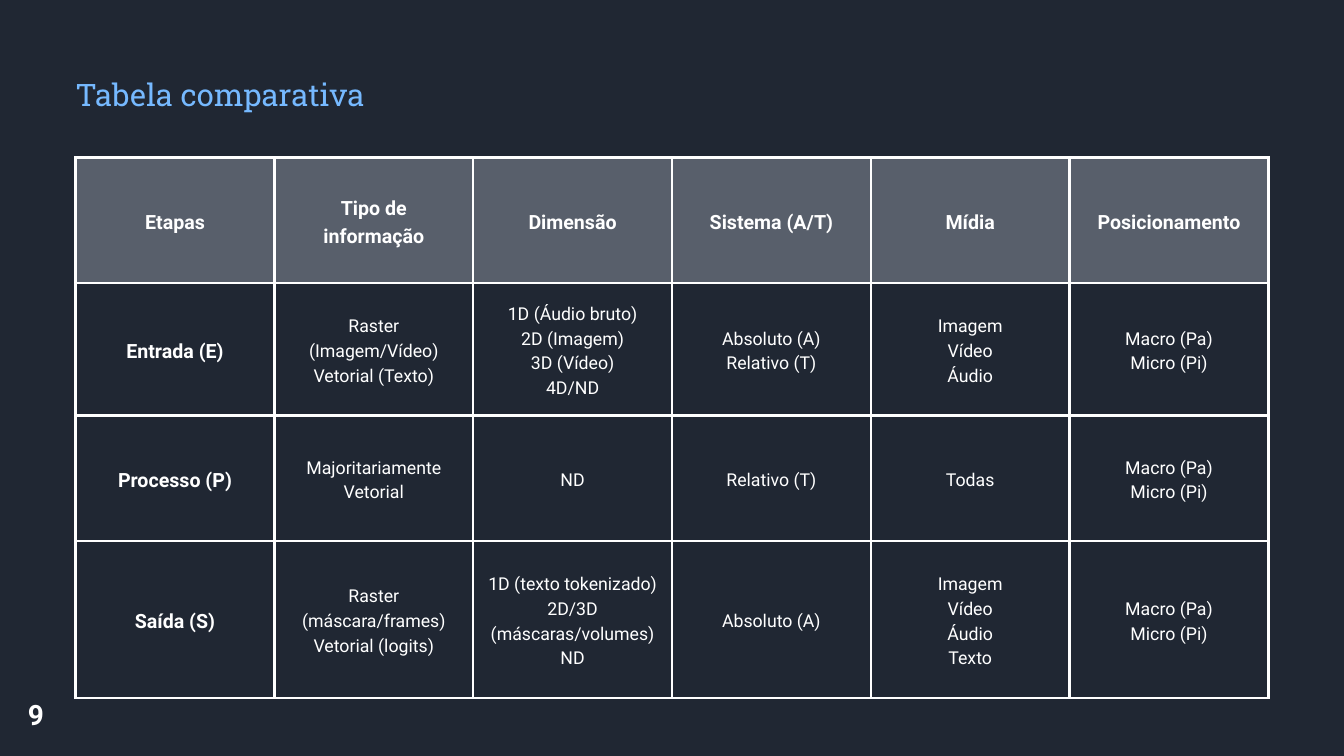
from lxml.etree import SubElement
from pptx import Presentation
from pptx.dml.color import RGBColor
from pptx.enum.text import MSO_ANCHOR as Anchor, MSO_AUTO_SIZE as AutoSize, PP_ALIGN as Align
from pptx.oxml.ns import qn
from pptx.util import Pt

INK = RGBColor(0x17, 0x1B, 0x21)
NAVY = RGBColor(0x20, 0x27, 0x33)
GREY = RGBColor(0x58, 0x5F, 0x6B)
BLUE = RGBColor(0x76, 0xB9, 0xFF)
WHITE = RGBColor(0xFF, 0xFF, 0xFF)

TITLE = "Tabela comparativa"
PAGE_NUMBER = "9"
HEADERS = ["Etapas", "Tipo de informação", "Dimensão", "Sistema (A/T)", "Mídia", "Posicionamento"]
POSITIONS = ["Macro (Pa)", "Micro (Pi)"]
STAGES = [
    ("Entrada (E)", [
        ["Raster (Imagem/Vídeo)", "Vetorial (Texto)"],
        ["1D (Áudio bruto)", "2D (Imagem)", "3D (Vídeo)", "4D/ND"],
        ["Absoluto (A)", "Relativo (T)"],
        ["Imagem", "Vídeo", "Áudio"],
        POSITIONS,
    ]),
    ("Processo (P)", [
        ["Majoritariamente Vetorial"], ["ND"], ["Relativo (T)"], ["Todas"], POSITIONS,
    ]),
    ("Saída (S)", [
        ["Raster (máscara/frames)", "Vetorial (logits)"],
        ["1D (texto tokenizado)", "2D/3D (máscaras/volumes)", "ND"],
        ["Absoluto (A)"],
        ["Imagem", "Vídeo", "Áudio", "Texto"],
        POSITIONS,
    ]),
]

SLIDE_WIDTH, SLIDE_HEIGHT = 1440, 810
LEFT, TABLE_TOP, COLUMN_WIDTH = 81, 168.9, 213
ROW_HEIGHTS = [134.6, 141.8, 134.6, 168]
CELL_MARGIN, BORDER = 15, 3

TITLE_FONT = dict(name="Roboto Slab", size=Pt(33.1), bold=False)
LABEL_FONT = dict(name="Roboto", size=Pt(21), bold=True)
DETAIL_FONT = dict(name="Roboto", size=Pt(19), bold=False)
NUMBER_FONT = dict(name="Roboto", size=Pt(30), bold=True)


def apply(target, values):
    for name, value in values.items():
        setattr(target, name, value)


def write(frame, lines, font, color, spacing, align):
    for index, line in enumerate(lines):
        para = frame.paragraphs[0] if index == 0 else frame.add_paragraph()
        apply(para, dict(alignment=align, line_spacing=Pt(spacing), space_before=Pt(0)))
        span = para.add_run()
        span.text = line
        apply(span.font, font)
        span.font.color.rgb = color


def format_frame(frame, wrap):
    apply(frame, dict(margin_left=0, margin_right=0, margin_top=0, margin_bottom=0,
                      word_wrap=wrap, auto_size=AutoSize.NONE, vertical_anchor=Anchor.TOP))


def add_backdrop(slide, color):
    builder = slide.shapes.build_freeform(0, 0, scale=Pt(1))
    builder.add_line_segments(
        [(SLIDE_WIDTH, 0), (SLIDE_WIDTH, SLIDE_HEIGHT), (0, SLIDE_HEIGHT)], close=True)
    backdrop = builder.convert_to_shape()
    backdrop.shadow.inherit = False
    backdrop.fill.solid()
    backdrop.fill.fore_color.rgb = color
    backdrop.line.fill.background()


def add_borders(cell):
    """Draw all four borders; they must precede the cell's fill in the XML."""
    properties = cell._tc.get_or_add_tcPr()
    for side in ("a:lnL", "a:lnR", "a:lnT", "a:lnB"):
        line = SubElement(properties, qn(side), w=str(Pt(BORDER)))
        fill = SubElement(line, qn("a:solidFill"))
        SubElement(fill, qn("a:srgbClr"), val=str(WHITE))


def fill_cell(cell, lines, is_header, is_label):
    add_borders(cell)
    if is_header:
        cell.fill.solid()
        cell.fill.fore_color.rgb = GREY
    else:
        cell.fill.background()
    margin = Pt(CELL_MARGIN)
    apply(cell, dict(margin_left=margin, margin_right=margin, margin_top=margin,
                     margin_bottom=margin, vertical_anchor=Anchor.MIDDLE))
    font, spacing = (LABEL_FONT, 29.4) if is_label else (DETAIL_FONT, 26.6)
    write(cell.text_frame, lines, font, WHITE, spacing, Align.CENTER)


def add_comparison(slide):
    rows = [[[header] for header in HEADERS]]
    rows += [[[stage], *details] for stage, details in STAGES]
    table = slide.shapes.add_table(
        len(rows), len(HEADERS), Pt(LEFT), Pt(TABLE_TOP),
        Pt(COLUMN_WIDTH * len(HEADERS)), Pt(sum(ROW_HEIGHTS))).table
    for column in table.columns:
        column.width = Pt(COLUMN_WIDTH)
    for r, (cells, height) in enumerate(zip(rows, ROW_HEIGHTS)):
        table.rows[r].height = Pt(height)
        for c, lines in enumerate(cells):
            fill_cell(table.cell(r, c), lines, r == 0, r == 0 or c == 0)


def main():
    deck = Presentation()
    apply(deck, dict(slide_width=Pt(SLIDE_WIDTH), slide_height=Pt(SLIDE_HEIGHT)))
    slide = deck.slides.add_slide(deck.slide_layouts[5])
    title = slide.shapes.title

    for color in (INK, NAVY):
        add_backdrop(slide, color)
    add_comparison(slide)

    slide.shapes._spTree.append(title._element)  # bring the title in front of the backdrops
    apply(title, dict(left=Pt(LEFT), top=Pt(79.2), width=Pt(518.4), height=Pt(40.3)))
    format_frame(title.text_frame, True)
    write(title.text_frame, [TITLE], TITLE_FONT, BLUE, 41.2, Align.LEFT)

    number = slide.shapes.add_textbox(Pt(29.8), Pt(734.4), Pt(17.3), Pt(46))
    format_frame(number.text_frame, False)
    write(number.text_frame, [PAGE_NUMBER], NUMBER_FONT, WHITE, 48.9, Align.CENTER)

    deck.save("out.pptx")


if __name__ == "__main__":
    main()
